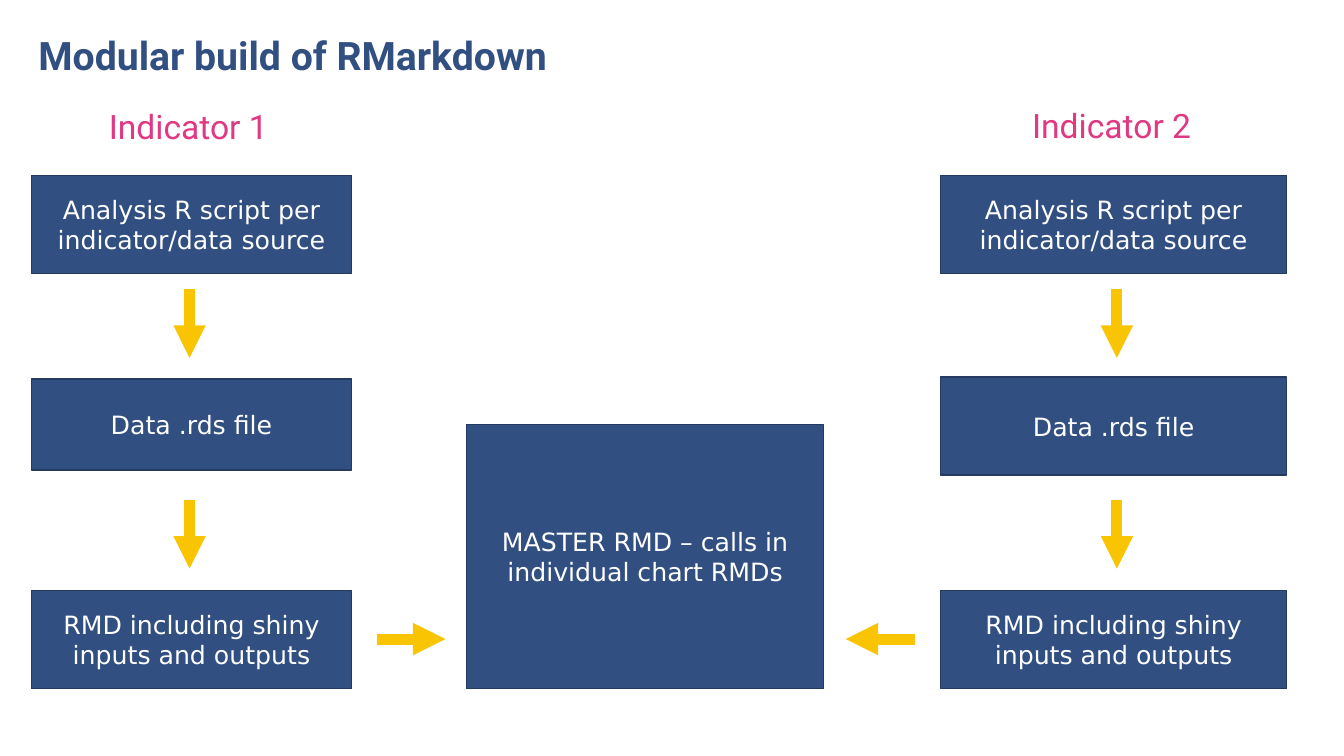
"""Build the slide on the modular build of RMarkdown."""
from lxml.etree import SubElement as Sub
from pptx import Presentation
from pptx.dml.color import RGBColor as Rgb
from pptx.enum.shapes import MSO_CONNECTOR as Link, MSO_SHAPE as Form
from pptx.enum.text import MSO_ANCHOR as Anchor, PP_ALIGN as Align
from pptx.oxml.ns import qn
from pptx.util import Pt

HUES = {"navy": "324F82", "edge": "253A60", "gold": "F9C402",
        "pink": "E03882", "white": "FFFFFF"}
TITLE = "Modular build of RMarkdown"
STEPS = ["Analysis R script per indicator/data source",
         "Data .rds file",
         "RMD including shiny inputs and outputs"]
MASTER = ("MASTER RMD – calls in individual chart RMDs",
          (333.4, 303.1, 254.9, 188.6))
SIDES = [
    {"head": "Indicator 1", "spot": (70.6, 72), "left": 22.3, "wide": 229,
     "rows": [(125.3, 70), (270.7, 65), (421.9, 70)],
     "axis": 135.4, "link": (269.3, 318.2)},
    {"head": "Indicator 2", "spot": (730.1, 71.3), "left": 672, "wide": 247,
     "rows": [(125.3, 70), (269.3, 70), (421.9, 70)],
     "axis": 797.8, "link": (653.8, 604.1)},
]
DROPS = [206.6, 357.1]
DROP = 49
LEVEL = 456.5


def hue(name):
    return Rgb.from_string(HUES[name])


def write(frame, text, size, font, tone, bold=False):
    frame.word_wrap = True
    para = frame.paragraphs[0]
    run = para.add_run()
    run.text = text
    run.font.size = Pt(size)
    run.font.name = font
    run.font.bold = bold
    run.font.color.rgb = hue(tone)
    return para


def add_box(slide, text, area):
    box = slide.shapes.add_shape(Form.RECTANGLE, *map(Pt, area))
    box.shadow.inherit = False
    box.fill.solid()
    box.fill.fore_color.rgb = hue("navy")
    box.line.color.rgb = hue("edge")
    box.line.width = Pt(1)
    box.text_frame.vertical_anchor = Anchor.MIDDLE
    para = write(box.text_frame, text, 18, "DejaVu Sans", "white")
    para.alignment = Align.CENTER


def add_arrow(slide, *ends):
    line = slide.shapes.add_connector(Link.STRAIGHT, *map(Pt, ends))
    line.line.color.rgb = hue("gold")
    line.line.width = Pt(7.75)
    Sub(line.line._get_or_add_ln(), qn("a:tailEnd"), type="triangle")
    Sub(line._element.spPr, qn("a:effectLst"))


def add_title(slide):
    title = slide.shapes.title
    title.left, title.top, title.width, title.height = map(
        Pt, (27.4, 26, 847.4, 31))
    frame = title.text_frame
    frame.margin_left = frame.margin_right = 0
    frame.margin_top = frame.margin_bottom = 0
    frame.vertical_anchor = Anchor.TOP
    para = write(frame, TITLE, 28, "Roboto", "navy", True)
    para.alignment = Align.LEFT
    para.line_spacing = 0.9


def add_side(slide, side):
    head = slide.shapes.add_textbox(*map(Pt, (*side["spot"], 131, 36)))
    write(head.text_frame, side["head"], 24, "Roboto", "pink")
    for text, (top, high) in zip(STEPS, side["rows"]):
        add_box(slide, text, (side["left"], top, side["wide"], high))
    for top in DROPS:
        add_arrow(slide, side["axis"], top, side["axis"], top + DROP)
    start, end = side["link"]
    add_arrow(slide, start, LEVEL, end, LEVEL)


def main():
    deck = Presentation()
    deck.slide_width, deck.slide_height = Pt(960), Pt(540)
    slide = deck.slides.add_slide(deck.slide_layouts.get_by_name("Title Only"))
    add_title(slide)
    add_box(slide, *MASTER)
    for side in SIDES:
        add_side(slide, side)
    deck.save("out.pptx")


if __name__ == "__main__":
    main()
